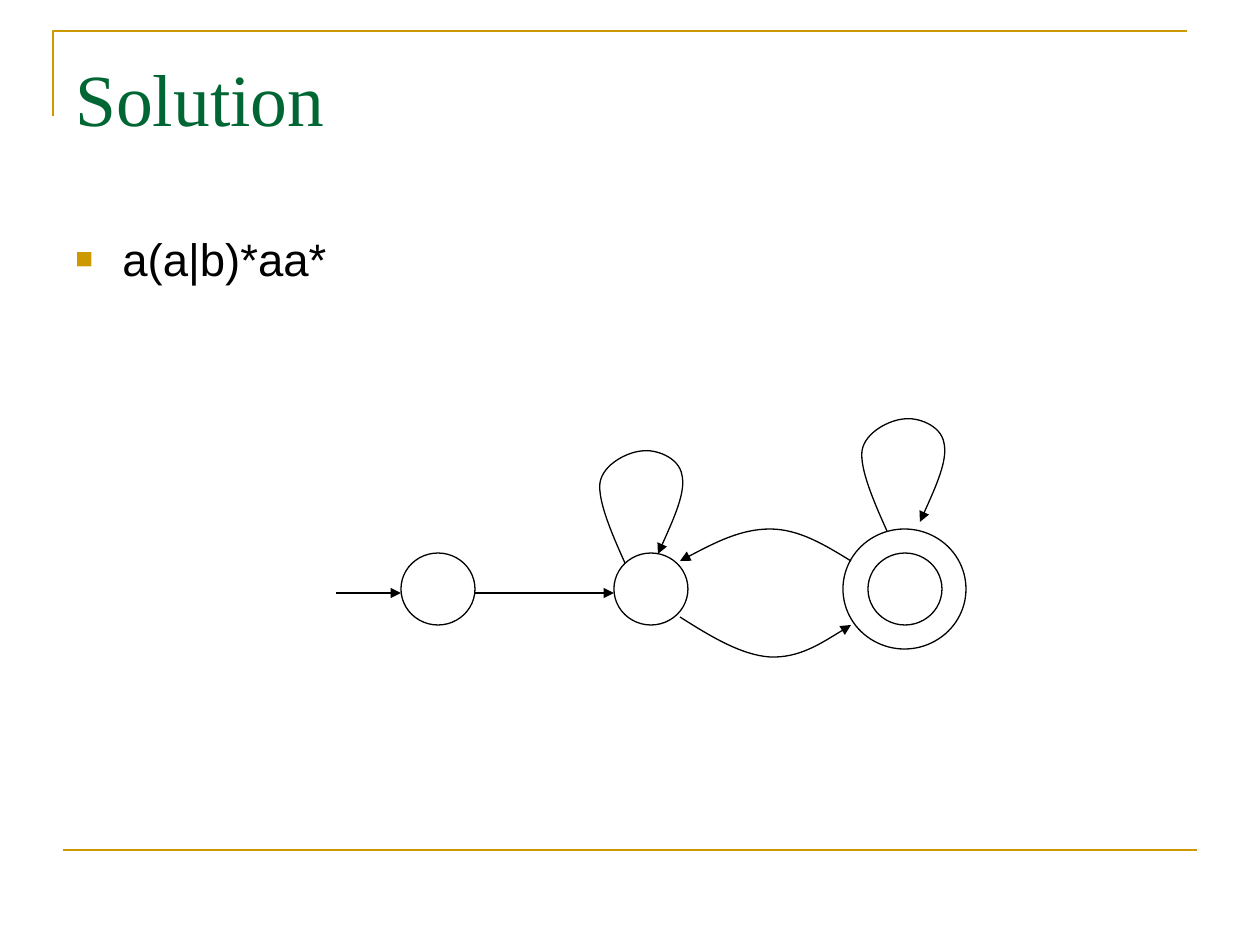
from dataclasses import dataclass

from pptx import Presentation, util as u
from pptx.dml.color import RGBColor
from pptx.enum import shapes, text
from pptx.oxml.ns import qn

PX = u.Inches(1) / 126


@dataclass(frozen=True)
class Theme:
    gold: str = "CC9900"
    green: str = "006633"
    ink: str = "000000"
    title_font: str = "Times New Roman"
    body_font: str = "Arial"
    title_size: int = 42
    body_size: int = 26
    rule_width: float = 1.5
    diagram_width: float = 0.75


THEME = Theme()
STATE_SIZE = (74, 72)
SELF_LOOP = [(625, 563), (611, 532), (598, 501), (600, 483), (603, 464),
             (628, 452), (642, 451), (655, 449), (679, 457), (682, 475),
             (686, 492), (672, 523), (658, 554)]
FINAL_LOOP_SHIFT = (262, -32)
TO_FINAL = [(680, 617), (710, 636), (741, 655), (770, 657), (799, 658),
            (825, 641), (851, 625)]
FROM_FINAL = [(851, 561), (825, 545), (799, 529), (770, 529), (741, 529),
              (710, 545), (680, 561)]


def emu(*lengths):
    return [round(length * PX) for length in lengths]


def style_line(item, color, width):
    item.line.color.rgb = RGBColor.from_string(color)
    item.line.width = u.Pt(width)


def add_arrowhead(item):
    tail = item.line._get_or_add_ln().makeelement(
        qn("a:tailEnd"), {"type": "triangle", "w": "med", "len": "med"})
    item.line._get_or_add_ln().append(tail)


def add_straight(slide, start, end, color, width):
    line = slide.shapes.add_connector(
        shapes.MSO_CONNECTOR.STRAIGHT, *emu(*start, *end))
    style_line(line, color, width)
    properties = line._element.spPr
    properties.append(properties.makeelement(qn("a:effectLst"), {}))
    return line


def add_straight_arrow(slide, start, end):
    add_arrowhead(add_straight(slide, start, end, THEME.ink, THEME.diagram_width))


def add_outline(slide, points, color, width):
    builder = slide.shapes.build_freeform(*points[0], scale=PX)
    builder.add_line_segments(points[1:], close=False)
    outline = builder.convert_to_shape()
    outline.fill.background()
    outline.shadow.inherit = False
    style_line(outline, color, width)
    return outline


def add_curved_arrow(slide, points):
    """Draw cubic Béziers: a start, then two controls and an end per segment."""
    curve = add_outline(slide, points, THEME.ink, THEME.diagram_width)
    steps = list(curve._element.iter(qn("a:lnTo")))
    for index in range(0, len(steps), 3):
        segment = steps[index].makeelement(qn("a:cubicBezTo"), {})
        steps[index].addprevious(segment)
        for step in steps[index:index + 3]:
            segment.append(step[0])
            step.getparent().remove(step)
    add_arrowhead(curve)


def add_state(slide, left, top, size=STATE_SIZE):
    state = slide.shapes.add_shape(
        shapes.MSO_SHAPE.OVAL, *emu(left, top, *size))
    state.fill.background()
    state.shadow.inherit = False
    style_line(state, THEME.ink, THEME.diagram_width)


def add_text(slide, box, wording, font, size, color, margin_top):
    frame = slide.shapes.add_textbox(*emu(*box)).text_frame
    frame.word_wrap = True
    frame.vertical_anchor = text.MSO_ANCHOR.TOP
    frame.margin_top = emu(margin_top)[0]
    frame.text = wording
    paragraph = frame.paragraphs[0]
    face = paragraph.runs[0].font
    face.name, face.size = font, u.Pt(size)
    face.color.rgb = RGBColor.from_string(color)
    return paragraph


def add_bullet(paragraph, indent):
    properties = paragraph._p.get_or_add_pPr()
    hang = emu(indent)[0]
    properties.set("marL", str(hang))
    properties.set("indent", str(-hang))
    color = properties.makeelement(qn("a:buClr"), {})
    color.append(color.makeelement(qn("a:srgbClr"), {"val": THEME.gold}))
    properties.append(color)
    for tag, attributes in (("a:buSzPct", {"val": "65000"}),
                            ("a:buFont", {"typeface": THEME.body_font}),
                            ("a:buChar", {"char": "■"})):
        properties.append(properties.makeelement(qn(tag), attributes))


def add_frame(slide):
    add_outline(slide, [(53, 116), (53, 31), (1187, 31)],
                THEME.gold, THEME.rule_width)
    add_straight(slide, (63, 850), (1197, 850), THEME.gold, THEME.rule_width)


def add_automaton(slide):
    for left in (401, 614, 868):
        add_state(slide, left, 553)
    add_state(slide, 843, 529, (123, 120))

    add_straight_arrow(slide, (336, 593), (401, 593))
    add_straight_arrow(slide, (475, 593), (614, 593))

    dx, dy = FINAL_LOOP_SHIFT
    final_loop = [(x + dx, y + dy) for x, y in SELF_LOOP]
    for route in (SELF_LOOP, final_loop, TO_FINAL, FROM_FINAL):
        add_curved_arrow(slide, route)


def main():
    deck = Presentation()
    deck.slide_width, deck.slide_height = emu(1260, 945)
    slide = deck.slides.add_slide(deck.slide_layouts[6])
    add_frame(slide)
    add_text(slide, (63, 38, 1134, 157), "Solution", THEME.title_font,
             THEME.title_size, THEME.green, margin_top=15)
    expression = add_text(slide, (63, 220, 557, 624), "a(a|b)*aa*",
                          THEME.body_font, THEME.body_size, THEME.ink,
                          margin_top=11)
    add_bullet(expression, indent=47)
    add_automaton(slide)
    deck.save("out.pptx")


if __name__ == "__main__":
    main()
